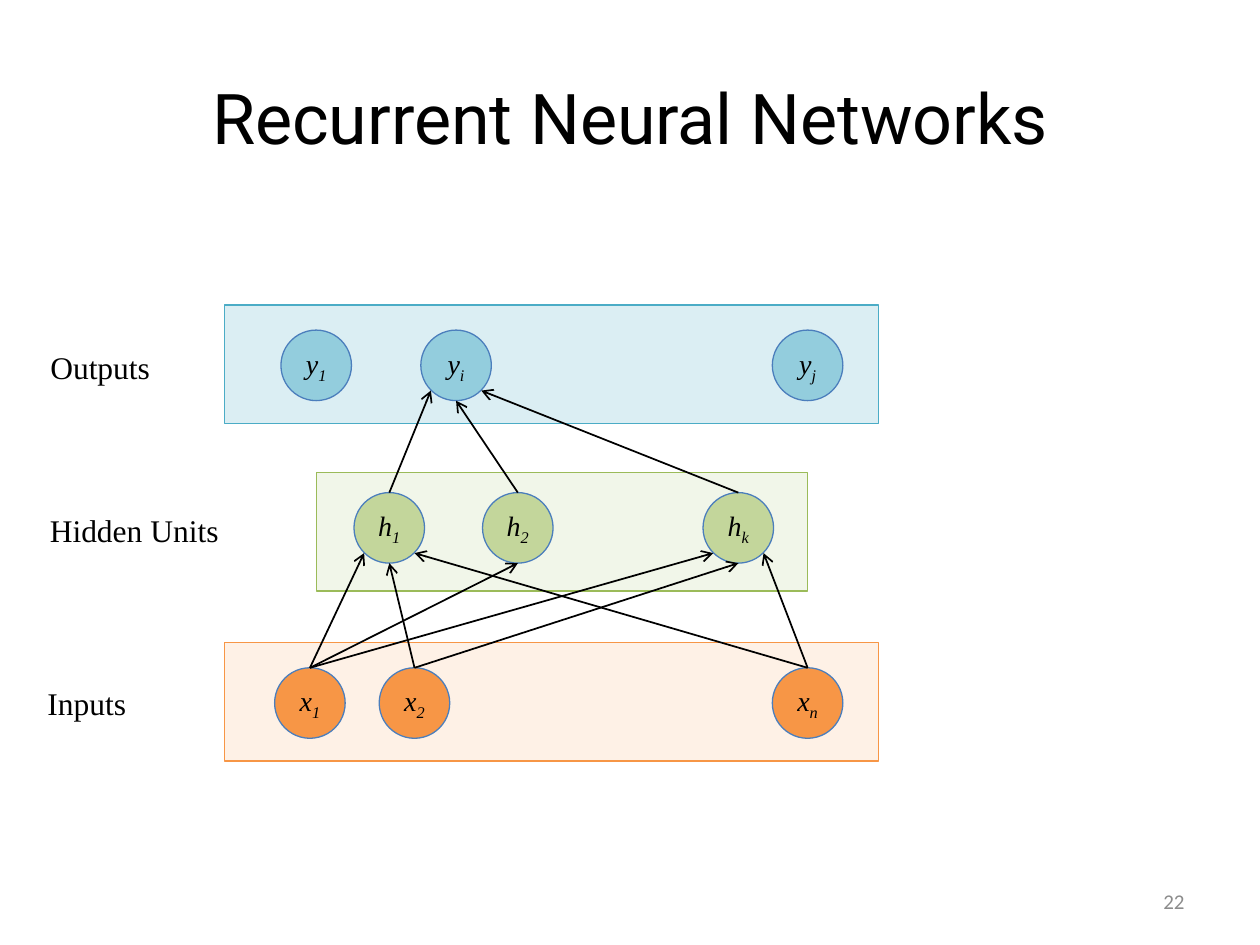
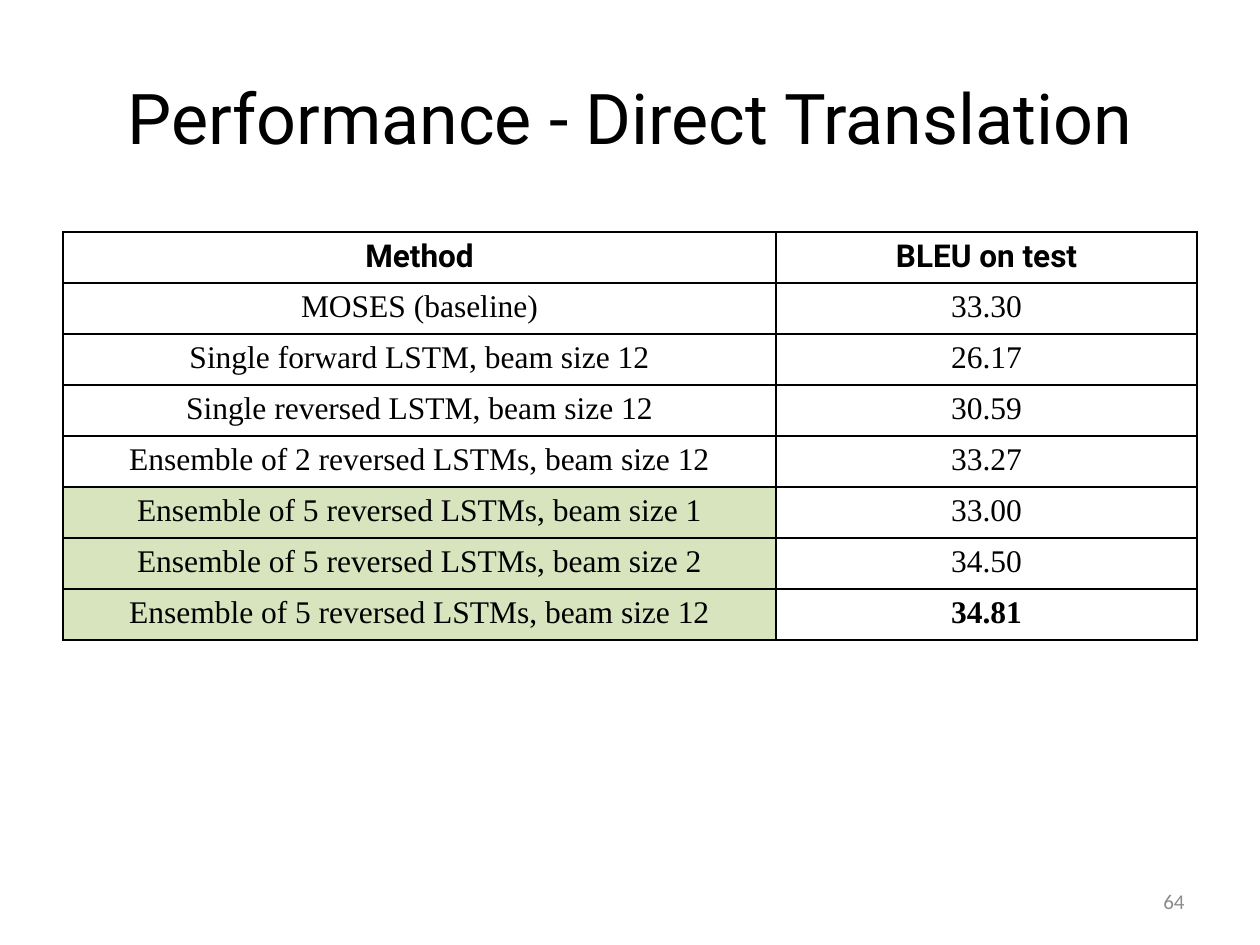
from collections import namedtuple

from lxml.etree import SubElement
from pptx import Presentation
from pptx.dml.color import RGBColor as RGB
from pptx.enum.shapes import MSO_CONNECTOR as Line, MSO_SHAPE as Shape
from pptx.enum.text import MSO_ANCHOR as Anchor, MSO_AUTO_SIZE as AutoSize, PP_ALIGN as Align
from pptx.oxml.ns import qn
from pptx.util import Pt

PX = 9144  # 100 px to the inch

Theme = namedtuple(
    "Theme",
    "black grey node_line highlight white heading serif footer "
    "title_size label_size node_size number_size")
theme = Theme(
    black=RGB.from_string("000000"), grey=RGB.from_string("8C8C8C"),
    node_line=RGB.from_string("4B7EBC"), highlight=RGB.from_string("D7E4BD"),
    white=RGB.from_string("FFFFFF"),
    heading="Roboto", serif="Times New Roman", footer="Calibri",
    title_size=40, label_size=18, node_size=16, number_size=12)


def style(paragraph, face, size, color=theme.black, align=Align.CENTER):
    paragraph.alignment = align
    paragraph.font.name = face
    paragraph.font.size = Pt(size)
    paragraph.font.color.rgb = color


def start_slide(title, number):
    """Add a slide with its formatted title and page number."""
    slide = deck.slides.add_slide(deck.slide_layouts[5])
    heading = slide.shapes.title
    heading.left, heading.top, heading.width, heading.height = (
        50 * PX, 30 * PX, 900 * PX, 125 * PX)
    heading.text_frame.text = title
    heading.text_frame.auto_size = AutoSize.NONE
    heading.text_frame.vertical_anchor = Anchor.MIDDLE
    style(heading.text_frame.paragraphs[0], theme.heading, theme.title_size)

    page = slide.shapes.add_textbox(717 * PX, 695 * PX, 233 * PX, 40 * PX).text_frame
    page.word_wrap = True
    page.vertical_anchor = Anchor.MIDDLE
    page.text = number
    style(page.paragraphs[0], theme.footer, theme.number_size, theme.grey, Align.RIGHT)
    return slide


deck = Presentation()
deck.slide_width, deck.slide_height = 1000 * PX, 750 * PX

# Slide 1: network diagram
network = start_slide("Recurrent Neural Networks", "22")

NODE = 56
BAND_HEIGHT = 94
# band left, top, width, fill, line; node fill, top, letter, lefts by subscript;
# label text, left, top, width
layers = [
    (251, 375, 390, "D7E4BD", "9BBB59",
     "C3D69B", 391, "h", {"1": 281, "2": 383, "k": 558},
     "Hidden Units", 27, 401, 159),
    (178, 242, 519, "93CDDD", "4BACC6",
     "93CDDD", 262, "y", {"1": 223, "i": 334, "j": 613},
     "Outputs", 24, 271, 111),
    (178, 510, 519, "FCD5B5", "F79646",
     "F79646", 530, "x", {"1": 218, "2": 301, "n": 613},
     "Inputs", 26, 538, 86),
]
nodes = {}
centers = {}
for (band_left, band_top, band_width, band_fill, band_line,
     node_fill, node_top, letter, lefts,
     label_text, label_left, label_top, label_width) in layers:
    band = network.shapes.add_shape(
        Shape.RECTANGLE, band_left * PX, band_top * PX, band_width * PX, BAND_HEIGHT * PX)
    band.shadow.inherit = False
    band.fill.solid()
    band.fill.fore_color.rgb = RGB.from_string(band_fill)
    tint = band.fill._xPr.find(qn("a:solidFill"))[0]
    SubElement(tint, qn("a:alpha"), val="33000")
    band.line.color.rgb = RGB.from_string(band_line)
    band.line.width = Pt(0.75)

    for subscript, node_left in lefts.items():
        node = network.shapes.add_shape(
            Shape.OVAL, node_left * PX, node_top * PX, NODE * PX, NODE * PX)
        node.shadow.inherit = False
        node.fill.solid()
        node.fill.fore_color.rgb = RGB.from_string(node_fill)
        node.line.color.rgb = theme.node_line
        node.line.width = Pt(0.75)
        frame = node.text_frame
        frame.margin_left = frame.margin_right = frame.margin_top = frame.margin_bottom = 0
        frame.vertical_anchor = Anchor.MIDDLE
        symbol = frame.paragraphs[0]
        symbol.add_run().text = letter
        index = symbol.add_run()
        index.text = subscript
        index.font._element.set("baseline", "-25000")
        style(symbol, theme.serif, theme.node_size)
        symbol.font.italic = True
        nodes[letter + subscript] = node
        centers[letter + subscript] = node_left + NODE // 2, node_top + NODE // 2

    label = network.shapes.add_textbox(
        label_left * PX, label_top * PX, label_width * PX, 40 * PX).text_frame
    label.word_wrap = False
    label.auto_size = AutoSize.SHAPE_TO_FIT_TEXT
    label.text = label_text
    style(label.paragraphs[0], theme.serif, theme.label_size)

# Offsets from a node's centre to where an arrow lands on its rim
landing = {"left": (-20, 20), "bottom": (0, 28), "right": (20, 20)}
links = [
    ("x1", "h1", "left"), ("x1", "h2", "bottom"), ("x1", "hk", "left"),
    ("x2", "h1", "bottom"), ("xn", "h1", "right"), ("xn", "hk", "right"),
    ("x2", "hk", "bottom"),
    ("h1", "yi", "left"), ("hk", "yi", "right"), ("h2", "yi", "bottom"),
]
for source, target, side in links:
    start_x, start_y = centers[source]
    end_x, end_y = (c + d for c, d in zip(centers[target], landing[side]))
    arrow = network.shapes.add_connector(
        Line.STRAIGHT, start_x * PX, (start_y - NODE // 2) * PX, end_x * PX, end_y * PX)
    arrow.begin_connect(nodes[source], 0)
    arrow.line.color.rgb = theme.black
    arrow.line.width = Pt(1)
    SubElement(arrow.line._get_or_add_ln(), qn("a:tailEnd"), type="arrow")
    SubElement(arrow._element.spPr, qn("a:effectLst"))

# Slide 2: results table
performance = start_slide("Performance - Direct Translation", "64")

results = [
    ("Method", "BLEU on test"),
    ("MOSES (baseline)", "33.30"),
    ("Single forward LSTM, beam size 12", "26.17"),
    ("Single reversed LSTM, beam size 12", "30.59"),
    ("Ensemble of 2 reversed LSTMs, beam size 12", "33.27"),
    ("Ensemble of 5 reversed LSTMs, beam size 1", "33.00"),
    ("Ensemble of 5 reversed LSTMs, beam size 2", "34.50"),
    ("Ensemble of 5 reversed LSTMs, beam size 12", "34.81"),
]
scores = performance.shapes.add_table(
    len(results), 2, 50 * PX, 184 * PX, 900 * PX, 324 * PX).table
scores.horz_banding = False
scores.columns[0].width, scores.columns[1].width = 566 * PX, 334 * PX

for row, values in enumerate(results):
    for column, value in enumerate(values):
        cell = scores.cell(row, column)
        cell.text = value
        is_header = row == 0
        entry = cell.text_frame.paragraphs[0]
        style(entry, theme.heading if is_header else theme.serif, theme.label_size)
        entry.font.bold = is_header or value == "34.81"
        for edge in ("a:lnL", "a:lnR", "a:lnT", "a:lnB"):
            border = SubElement(cell._tc.get_or_add_tcPr(), qn(edge), w=str(Pt(1)))
            ink = SubElement(border, qn("a:solidFill"))
            SubElement(ink, qn("a:srgbClr"), val=str(theme.black))
        cell.fill.solid()
        is_best_group = column == 0 and value.startswith("Ensemble of 5")
        cell.fill.fore_color.rgb = theme.highlight if is_best_group else theme.white

deck.save("out.pptx")
